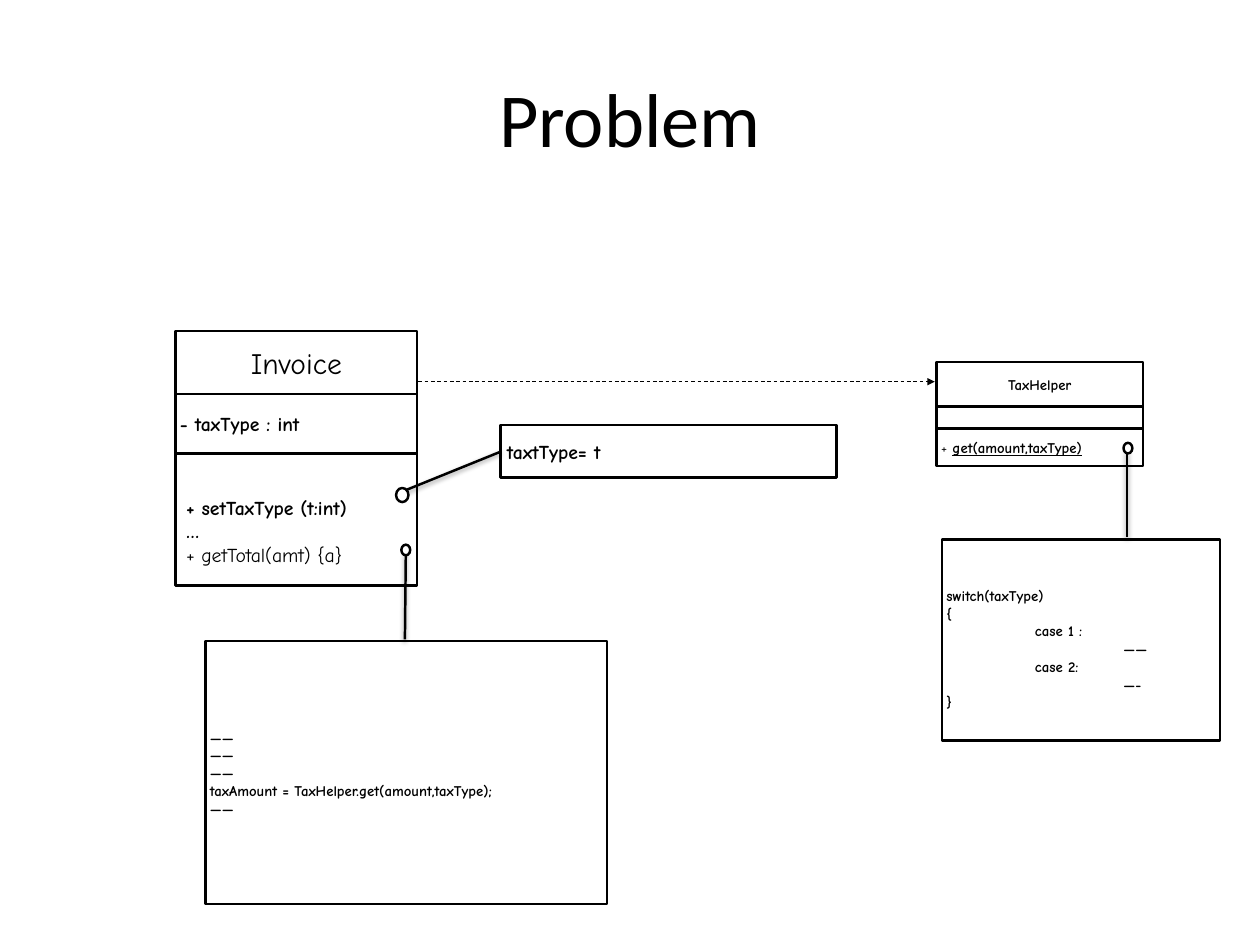
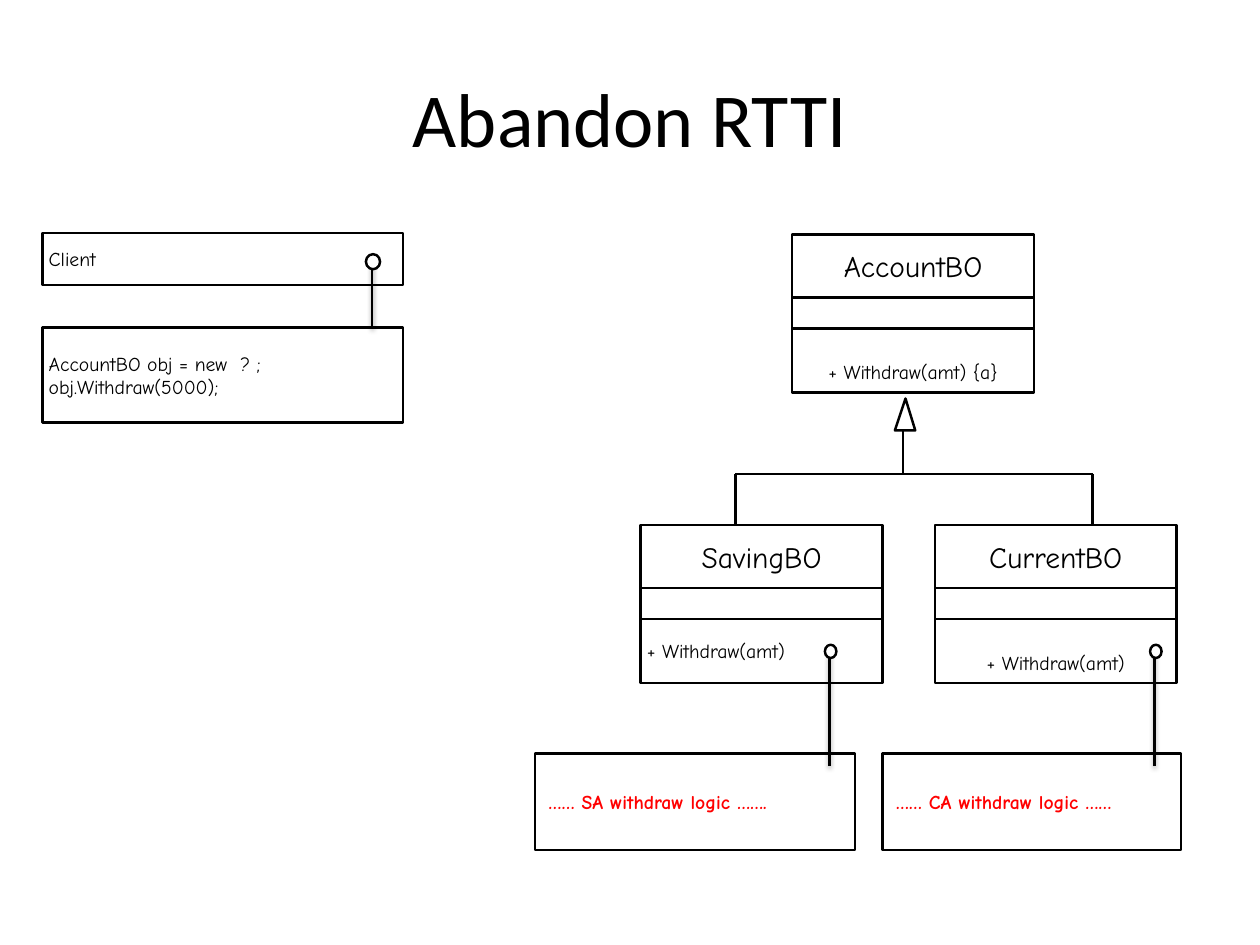
from dataclasses import dataclass

from lxml.etree import SubElement
from pptx import Presentation
from pptx.dml.color import RGBColor
from pptx.enum.dml import MSO_LINE
from pptx.enum.shapes import MSO_CONNECTOR, MSO_SHAPE
from pptx.enum.text import MSO_ANCHOR, PP_ALIGN
from pptx.oxml.ns import qn
from pptx.util import Emu, Pt

PX = 9144  # 100 px to the inch


@dataclass(frozen=True)
class Theme:
    ink: str = "000000"
    paper: str = "FFFFFF"
    accent: str = "FF0000"
    title_font: str = "Calibri"
    body_font: str = "Comic Neue"
    title_size: int = 62
    name_size: int = 24
    body_size: int = 16
    code_size: int = 12
    line: float = 2
    thin_line: float = 0.75


THEME = Theme()
BODY = {"size": THEME.body_size}
BOLD = BODY | {"bold": True}
NAME = {"size": THEME.name_size, "align": PP_ALIGN.CENTER}
CODE = {"size": THEME.code_size, "bold": True, "inset": 5}
LOGIC = BOLD | {"color": THEME.accent, "left": 15}
LOW_CENTER = BODY | {"align": PP_ALIGN.CENTER, "drop": 26}


def px(*lengths):
    return [Emu(length * PX) for length in lengths]


def rgb(value):
    return RGBColor.from_string(value)


class Board:
    """Holds the deck, its style and the slide being drawn."""

    def __init__(self, theme):
        self.theme = theme
        self.deck = Presentation()
        self.deck.slide_width, self.deck.slide_height = px(1422, 1067)
        self.shapes = None

    def new_page(self, title):
        page = self.deck.slides.add_slide(self.deck.slide_layouts[6])
        self.shapes = page.shapes
        box = self.shapes.add_textbox(*px(71, 43, 1280, 178))
        self.set_text(box, [title], size=self.theme.title_size,
                      font=self.theme.title_font, align=PP_ALIGN.CENTER)

    # Text: each line is a string or a list of (text, font changes)
    def set_text(self, box, lines, size, font=None, bold=False, color=None,
                 align=PP_ALIGN.LEFT, inset=7, left=None, drop=0):
        frame = box.text_frame
        left_margin = inset if left is None else left
        margins = px(left_margin, inset + drop, inset, inset)
        settings = dict(zip(("margin_left", "margin_top", "margin_right",
                             "margin_bottom"), margins))
        settings |= {"word_wrap": True, "vertical_anchor": MSO_ANCHOR.MIDDLE}
        for name, value in settings.items():
            setattr(frame, name, value)
        base = {"name": font or self.theme.body_font, "size": Pt(size),
                "bold": bold, "underline": False}
        for index, line in enumerate(lines):
            para = frame.add_paragraph() if index else frame.paragraphs[0]
            para.alignment = align
            spans = [(line, {})] if isinstance(line, str) else line
            if any("\t" in text for text, _ in spans):
                self.add_tabs(para)
            for text, changes in spans:
                span = para.add_run()
                span.text = text
                for name, value in (base | changes).items():
                    setattr(span.font, name, value)
                span.font.color.rgb = rgb(color or self.theme.ink)

    def add_tabs(self, para):
        stops = SubElement(para._p.get_or_add_pPr(), qn("a:tabLst"))
        for position in px(100, 200):
            SubElement(stops, qn("a:tab"), pos=str(position), algn="l")

    # Outlined shapes
    def outline(self, shape):
        shape.shadow.inherit = False
        shape.fill.solid()
        shape.fill.fore_color.rgb = rgb(self.theme.paper)
        shape.line.color.rgb = rgb(self.theme.ink)
        shape.line.width = Pt(self.theme.line)

    def box(self, place, lines=(), style=BODY):
        shape = self.shapes.add_shape(MSO_SHAPE.RECTANGLE, *px(*place))
        self.outline(shape)
        if lines:
            self.set_text(shape, lines, **style)

    def class_box(self, left, top, width, parts):
        """Stacks (height, lines, style) compartments."""
        for height, lines, style in parts:
            self.box((left, top, width, height), lines, style)
            top += height

    def triangle(self, *points):
        start, *others = points
        builder = self.shapes.build_freeform(*start, scale=PX)
        builder.add_line_segments(others, close=True)
        self.outline(builder.convert_to_shape())

    # Lines
    def line(self, start, end, shadow=False, arrow=False):
        link = self.shapes.add_connector(MSO_CONNECTOR.STRAIGHT,
                                         *px(*start, *end))
        link.line.color.rgb = rgb(self.theme.ink)
        link.line.width = Pt(self.theme.line)
        if arrow:
            link.line.width = Pt(self.theme.thin_line)
            link.line.dash_style = MSO_LINE.DASH
            outline = link._element.spPr.find(qn("a:ln"))
            SubElement(outline, qn("a:tailEnd"), type="triangle")
        effects = SubElement(link._element.spPr, qn("a:effectLst"))
        if shadow:
            cast = SubElement(effects, qn("a:outerShdw"), dir="5400000",
                              blurRad=str(Pt(4)), dist=str(Pt(2)),
                              rotWithShape="0")
            tint = SubElement(cast, qn("a:srgbClr"), val=self.theme.ink)
            SubElement(tint, qn("a:alpha"), val="38000")

    def pin(self, start, end, ring):
        """Joins a note to the ring on its method."""
        self.line(start, end, shadow=True)
        self.outline(self.shapes.add_shape(MSO_SHAPE.OVAL, *px(*ring)))


def problem_page(board):
    board.new_page("Problem")
    # Classes
    board.class_box(198, 374, 273, [
        (71, ["Invoice"], NAME),
        (67, ["- taxType : int"], BOLD | {"inset": 5}),
        (149, ["+ setTaxType (t:int)",
               "…",
               [("+ getTotal(amt) {a}", {"bold": False})]],
         BOLD | {"left": 12, "drop": 26}),
    ])
    board.class_box(1057, 409, 233, [
        (50, ["TaxHelper"], CODE | {"align": PP_ALIGN.CENTER}),
        (25, [], CODE),
        (42, [[("+ ", {"bold": False}),
               ("get(amount,taxType)", {"underline": True})]], CODE),
    ])
    # Notes with the method bodies
    board.box((565, 480, 379, 59), ["taxtType= t"], BOLD)
    board.box((232, 724, 453, 297), [
        "——", "——", "——",
        "taxAmount = TaxHelper.get(amount,taxType);", "——"], CODE)
    board.box((1063, 609, 314, 227), [
        "switch(taxType)", "{", "\tcase 1 :", "\t\t——",
        "\tcase 2:", "\t\t—-", "}"], CODE | {"drop": 20})
    # Pins and dependency
    board.pin((565, 510), (459, 553), (447, 551, 14, 16))
    board.pin((457, 722), (458, 624), (453, 615, 10, 12))
    board.pin((1272, 606), (1272, 508), (1268, 500, 10, 12))
    board.line((472, 431), (1055, 431), arrow=True)


def abandon_page(board):
    board.new_page("Abandon RTTI")
    # Client and its code
    board.box((48, 263, 407, 59), ["Client"])
    board.box((48, 370, 407, 107),
              ["AccountBO obj = new  ? ;", "obj.Withdraw(5000);"])
    board.pin((420, 370), (420, 299), (413, 287, 16, 17))
    # Class tree
    classes = [
        (894, 265, "AccountBO", "+ Withdraw(amt) {a}", LOW_CENTER),
        (723, 593, "SavingBO", "+ Withdraw(amt)", BODY),
        (1055, 593, "CurrentBO", "+ Withdraw(amt)", LOW_CENTER),
    ]
    for left, top, name, method, style in classes:
        board.class_box(left, top, 273, [
            (71, [name], NAME), (35, [], BODY), (72, [method], style)])
    # Inheritance
    board.line((830, 535), (1233, 535))
    for child in (830, 1233):
        board.line((child, 535), (child, 594))
    board.line((1019, 535), (1019, 487))
    board.triangle((1010, 486), (1022, 450), (1033, 486))
    # Logic notes
    notes = [
        (996, 337, 1303, "…… CA withdraw logic ……"),
        (604, 361, 936, "…… SA withdraw logic ……."),
    ]
    for left, width, pin, text in notes:
        board.box((left, 851, width, 109), [text], LOGIC)
        board.pin((pin, 865), (pin, 739), (pin - 5, 728, 13, 15))


def main():
    board = Board(THEME)
    problem_page(board)
    abandon_page(board)
    board.deck.save("out.pptx")


if __name__ == "__main__":
    main()
